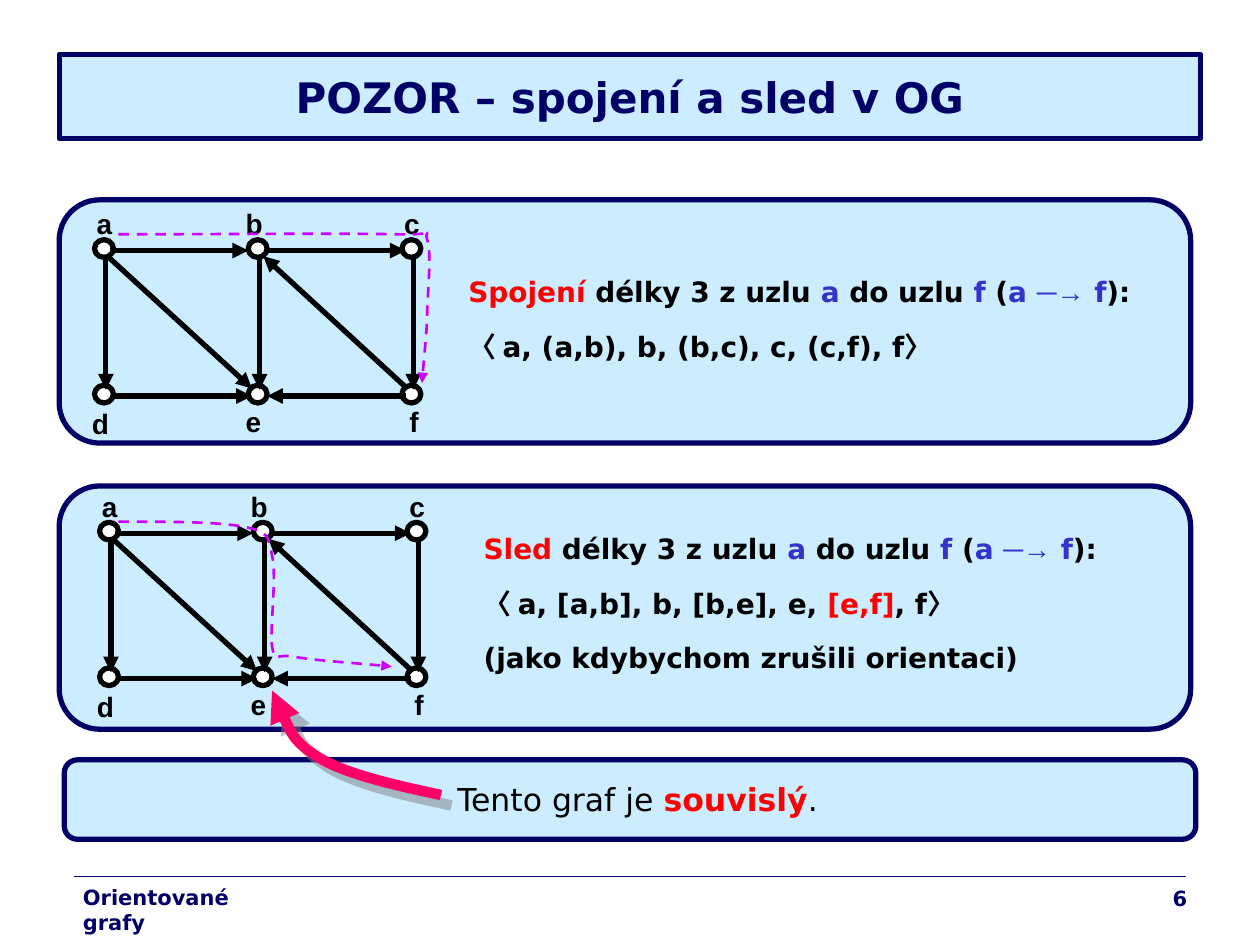
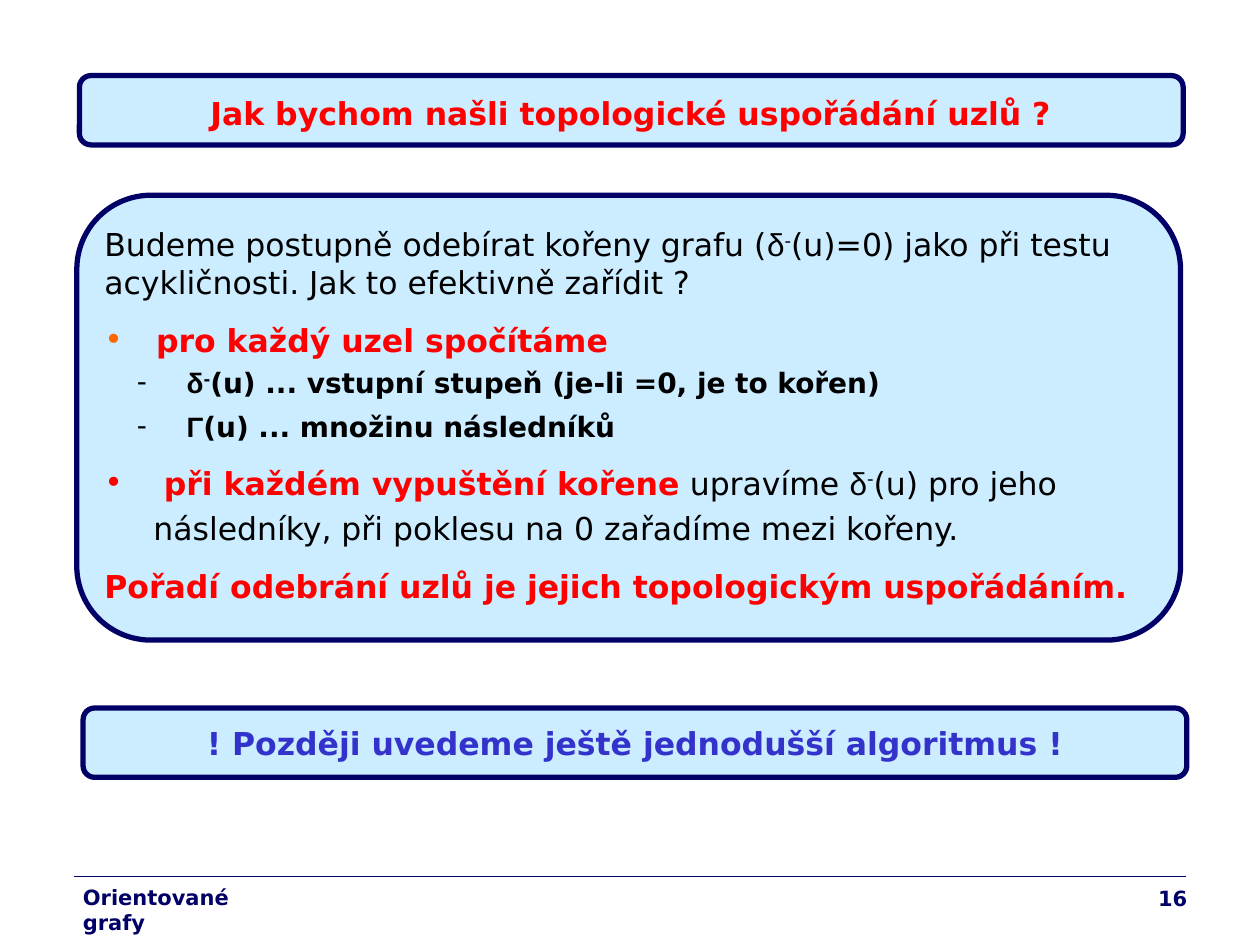
from dataclasses import dataclass

from lxml import etree
from pptx import Presentation
from pptx.dml.color import RGBColor
from pptx.enum.dml import MSO_LINE
from pptx.enum.shapes import MSO_CONNECTOR, MSO_SHAPE
from pptx.enum.text import MSO_ANCHOR, MSO_AUTO_SIZE, PP_ALIGN
from pptx.oxml.ns import qn
from pptx.util import Pt

LEFT, CENTER, RIGHT = PP_ALIGN.LEFT, PP_ALIGN.CENTER, PP_ALIGN.RIGHT
MIDDLE = MSO_ANCHOR.MIDDLE
STRAIGHT = MSO_CONNECTOR.STRAIGHT
ROUNDED, ELLIPSE = MSO_SHAPE.ROUNDED_RECTANGLE, MSO_SHAPE.OVAL
DASH = MSO_LINE.DASH

NAVY = RGBColor(0x00, 0x00, 0x66)
PALE_BLUE = RGBColor(0xCC, 0xEC, 0xFF)
BLUE = RGBColor(0x33, 0x33, 0xCC)
RED = RGBColor(0xFF, 0x00, 0x00)
ORANGE = RGBColor(0xFF, 0x66, 0x00)
PINK = RGBColor(0xFF, 0x00, 0x66)
PURPLE = RGBColor(0xCC, 0x00, 0xFF)
GRAY = RGBColor(0x80, 0x80, 0x80)
BLACK = RGBColor(0x00, 0x00, 0x00)
WHITE = RGBColor(0xFF, 0xFF, 0xFF)

BODY_FONT, SYMBOL_FONT = "DejaVu Sans", "Arial"

# Graph geometry, relative to the corner of node a
COLUMN_STEP, ROW_STEP = 87.84, 83.2
NODE_WIDTH, NODE_HEIGHT = 10.8, 10.08
EDGES = [
    (8.6, 6.2, 87.8, 6.2), (98.6, 6.2, 177.8, 6.2),
    (10.8, 89.3, 90, 89.3), (177.8, 89.3, 98.6, 89.3),
    (8.6, 10.5, 90, 85), (177.8, 84.2, 96.5, 9.4),
] + [(6.5 + COLUMN_STEP * column, 10.5, 6.5 + COLUMN_STEP * column, 85.7)
     for column in range(3)]
NODE_LABELS = {
    "a": (-5.8, -22.5), "b": (79.2, -22.5), "c": (169.9, -22.5),
    "d": (-8.6, 91.8), "e": (79.2, 90.8), "f": (172.8, 90.8),
}


@dataclass
class Run:
    text: str
    color: RGBColor = BLACK
    bold: bool = False
    size: float = 18
    font: str = BODY_FONT
    raised: bool = False


@dataclass
class Line:
    runs: list
    before: float = 0
    align: PP_ALIGN = LEFT
    bullet: str = ""
    bullet_color: RGBColor = BLACK
    margin: float = 0
    indent: float = 0


def points(*lengths):
    return [Pt(length) for length in lengths]


def set_paragraph_layout(paragraph, line):
    paragraph.alignment = line.align
    paragraph.space_before = Pt(line.before)
    properties = paragraph._p.get_or_add_pPr()
    properties.set("marL", str(Pt(line.margin)))
    properties.set("indent", str(Pt(line.indent)))
    if line.bullet:
        color = etree.SubElement(properties, qn("a:buClr"))
        etree.SubElement(color, qn("a:srgbClr"), val=str(line.bullet_color))
        etree.SubElement(properties, qn("a:buFont"), typeface=BODY_FONT)
        etree.SubElement(properties, qn("a:buChar"), char=line.bullet)


def write_lines(text_frame, lines):
    text_frame.word_wrap = True
    for number, line in enumerate(lines):
        paragraph = text_frame.add_paragraph() if number else text_frame.paragraphs[0]
        set_paragraph_layout(paragraph, line)
        for part in line.runs:
            run = paragraph.add_run()
            run.text = part.text
            run.font.name = part.font
            run.font.size = Pt(part.size)
            run.font.bold = part.bold
            run.font.color.rgb = part.color
            if part.raised:
                run._r.get_or_add_rPr().set("baseline", "30000")


def add_text(slide, box, lines):
    write_lines(slide.shapes.add_textbox(*points(*box)).text_frame, lines)


def paint(shape, fill, line):
    shape.fill.solid()
    shape.fill.fore_color.rgb = fill
    shape.line.color.rgb = line
    shape.line.width = Pt(3)


def add_panel(slide, box):
    panel = slide.shapes.add_shape(ROUNDED, *points(*box))
    panel.shadow.inherit = False
    paint(panel, PALE_BLUE, NAVY)
    return panel


def set_title(slide, box, run):
    title = slide.shapes.title
    title.left, title.top, title.width, title.height = points(*box)
    write_lines(title.text_frame, [Line([run], align=CENTER)])
    title.text_frame.auto_size = MSO_AUTO_SIZE.NONE
    title.text_frame.vertical_anchor = MIDDLE
    return title


def add_arrowhead(shape):
    etree.SubElement(shape.line._get_or_add_ln(), qn("a:tailEnd"), type="triangle")


def add_line(shapes, ends, color, width):
    line = shapes.add_connector(STRAIGHT, *points(*ends))
    line.line.color.rgb = color
    line.line.width = Pt(width)
    etree.SubElement(line._element.spPr, qn("a:effectLst"))
    return line


def add_footer(slide, number):
    add_line(slide.shapes, (42.5, 500.9, 677.5, 500.9), NAVY, 0.75)
    for box, text, align in [((40.3, 501.8, 124.6, 21.6), "Orientované grafy", LEFT),
                             ((535.7, 502.6, 149.8, 25.9), str(number), RIGHT)]:
        add_text(slide, box, [Line([Run(text, NAVY, True, 12)], align=align)])


def add_graph(slide, left, top):
    shapes = slide.shapes.add_group_shape().shapes
    for row in range(2):
        for column in range(3):
            node = shapes.add_shape(ELLIPSE, *points(
                left + column * COLUMN_STEP, top + row * ROW_STEP,
                NODE_WIDTH, NODE_HEIGHT))
            node.shadow.inherit = False
            paint(node, WHITE, BLACK)
    for x1, y1, x2, y2 in EDGES:
        add_arrowhead(add_line(
            shapes, (left + x1, top + y1, left + x2, top + y2), BLACK, 3))
    for name, (x, y) in NODE_LABELS.items():
        label = shapes.add_textbox(*points(left + x, top + y, 25.2, 26.6))
        write_lines(label.text_frame, [Line([Run(name, BLACK, True, 16, SYMBOL_FONT)])])
        label.text_frame.word_wrap = False


def bend_segments(shape):
    """Turn every three straight segments into one cubic curve."""
    segments = list(shape._element.iter(qn("a:lnTo")))
    for first in range(0, len(segments), 3):
        outline = segments[first].getparent()
        curve = etree.SubElement(outline, qn("a:cubicBezTo"))
        for segment in segments[first:first + 3]:
            curve.append(segment[0])
            outline.remove(segment)


def add_curved_arrow(slide, start, curves, color, width):
    builder = slide.shapes.build_freeform(*points(*start))
    builder.add_line_segments(
        [points(*point) for curve in curves for point in curve], close=False)
    arrow = builder.convert_to_shape()
    bend_segments(arrow)
    arrow.fill.background()
    arrow.shadow.inherit = False
    arrow.line.color.rgb = color
    arrow.line.width = Pt(width)
    return arrow


def add_walk(slide, start, curves):
    walk = add_curved_arrow(slide, start, curves, PURPLE, 1.5)
    walk.line.dash_style = DASH
    add_arrowhead(walk)


def add_pointer(slide, start, curves):
    pointer = add_curved_arrow(slide, start, curves, PINK, 6)
    add_arrowhead(pointer)
    effects = pointer._element.spPr.find(qn("a:effectLst"))
    shadow = etree.SubElement(effects, qn("a:outerShdw"), dist=str(Pt(8.5)),
                              dir="2700000", algn="ctr", rotWithShape="0")
    color = etree.SubElement(shadow, qn("a:srgbClr"), val=str(GRAY))
    etree.SubElement(color, qn("a:alpha"), val="50000")


def bold(text, color=BLACK, font=BODY_FONT):
    return Run(text, color, True, 16, font)


def walk_heading(term):
    return Line([
        bold(term, RED), bold(" délky 3 z uzlu "), bold("a", BLUE), bold(" do uzlu "),
        bold("f ", BLUE), bold("("), bold("a ", BLUE), bold("─→", BLUE, SYMBOL_FONT),
        bold(" f", BLUE), bold("):")])


def sequence(*runs):
    return Line([bold("〈", font=SYMBOL_FONT), *runs, bold("〉", font=SYMBOL_FONT)], before=12)


def in_degree(size=18, is_bold=False):
    return [Run("δ", BLACK, is_bold, size, SYMBOL_FONT),
            Run("-", BLACK, is_bold, size, raised=True)]


def build_walks_slide(slide):
    title = set_title(slide, (33.8, 31, 652.3, 48.2),
                      Run("POZOR – spojení a sled v OG", NAVY, True, 24))
    paint(title, PALE_BLUE, NAVY)
    for top in (114.2, 277.7):
        add_panel(slide, (33.8, top, 646.6, 139))
    add_footer(slide, 6)

    # Graphs and the walks beside them
    add_graph(slide, 54, 137)
    add_graph(slide, 56.9, 298.5)
    add_text(slide, (260.6, 153.4, 408.2, 57.6), [
        walk_heading("Spojení"),
        sequence(bold(" a, (a,b), b, (b,c), c, (c,f), f"))])
    add_text(slide, (269.3, 300.2, 391, 89.3), [
        walk_heading("Sled"),
        sequence(bold(" a, [a,b], b, [b,e], e, "), bold("[e,f]", RED), bold(", f")),
        Line([bold("(jako kdybychom zrušili orientaci)")], before=12)])

    # Conclusion
    add_panel(slide, (36.7, 434.2, 646.6, 45.4))
    add_text(slide, (56.9, 442.1, 614.9, 28.8), [Line(
        [Run("Tento graf je "), Run("souvislý", RED, True), Run(".")], align=CENTER)])

    # Arrows over the graphs
    add_pointer(slide, (252, 454.3), [
        ((225.4, 448.6), (199.4, 442.8), (182.9, 433.4)),
        ((167, 423.4), (161.3, 409), (155.5, 394.6))])
    add_walk(slide, (67.7, 133.9), [
        ((132.5, 133.9), (197.3, 133.2), (226.8, 133.9)),
        ((256.3, 134.6), (241.2, 128.9), (244.1, 136.8)),
        ((247, 144.7), (244.1, 168.5), (244.1, 182.2)),
        ((243.4, 195.8), (241.9, 207.4), (241.2, 218.9))])
    add_walk(slide, (67.7, 298.1), [
        ((96.5, 298.1), (124.6, 298.1), (139, 301)),
        ((153.4, 303.8), (153.4, 306), (155.5, 317.5)),
        ((158.4, 329), (154.1, 360), (155.5, 369.4)),
        ((157.7, 379.4), (155.5, 373.7), (167, 375.1)),
        ((178.6, 377.3), (201.6, 378.7), (223.9, 380.9))])


def build_ordering_slide(slide):
    add_footer(slide, 16)

    # Question as title, on its panel
    band = add_panel(slide, (45.4, 43.2, 630.7, 39.6))
    title = set_title(slide, (56.9, 50.2, 607, 28.8),
                      Run("Jak bychom našli topologické uspořádání uzlů ?", RED, True))
    band._element.addnext(title._element)

    # Procedure
    add_panel(slide, (43.9, 111.6, 630.7, 254.2))
    sub_bullet = dict(bullet="-", margin=47, indent=-28.5)
    add_text(slide, (52.6, 125.3, 607, 223.9), [
        Line([Run("Budeme postupně odebírat kořeny grafu ("), *in_degree(),
              Run("(u)=0) jako při testu acykličnosti. Jak to efektivně zařídit ?")]),
        Line([Run("pro každý uzel spočítáme", RED, True)], before=11.2,
             bullet="•", bullet_color=ORANGE, margin=29.5, indent=-29.5),
        Line([*in_degree(16, True),
              bold("(u) ... vstupní stupeň (je-li =0, je to kořen)")],
             before=4, **sub_bullet),
        Line([bold("Γ", font=SYMBOL_FONT), bold("(u) ... množinu následníků")],
             before=5.8, **sub_bullet),
        Line([Run("při každém vypuštění kořene", RED, True), Run(" upravíme "),
              *in_degree(), Run("(u) pro jeho")], before=12,
             bullet="•", bullet_color=RED, margin=34, indent=-34),
        Line([Run("následníky, při poklesu na 0 zařadíme mezi kořeny.")],
             before=4.5, margin=28),
        Line([Run("Pořadí odebrání uzlů je jejich topologickým uspořádáním.", RED, True)],
             before=11.2)])

    # Outlook
    add_panel(slide, (47.5, 404.6, 630.7, 39.6))
    add_text(slide, (54, 410.4, 617.8, 28.8), [Line(
        [Run("! Později uvedeme ještě jednodušší algoritmus !", BLUE, True)], align=CENTER)])


def main():
    presentation = Presentation()
    presentation.slide_width, presentation.slide_height = points(720, 540)
    title_only = presentation.slide_layouts[5]
    for build in (build_walks_slide, build_ordering_slide):
        build(presentation.slides.add_slide(title_only))
    presentation.save("out.pptx")


if __name__ == "__main__":
    main()
